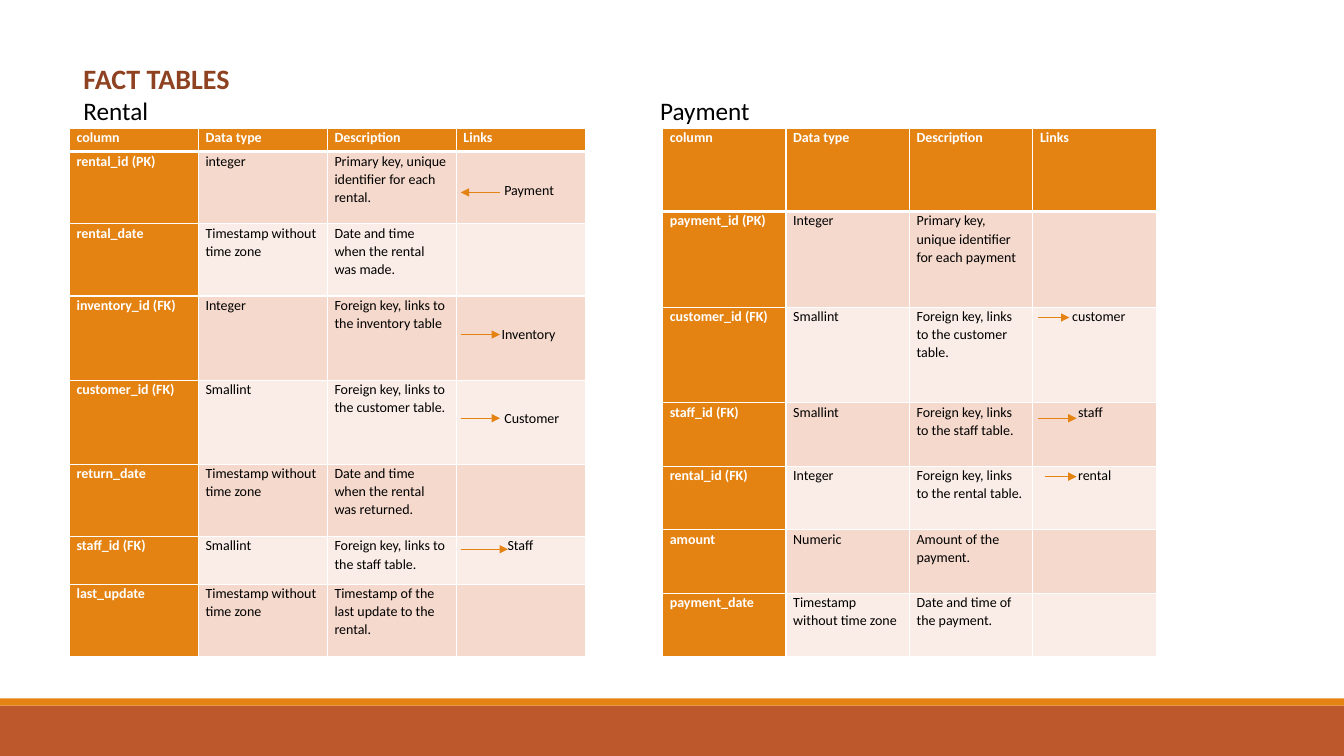
from dataclasses import dataclass
from typing import Any, Optional

from lxml import etree
from pptx import Presentation
from pptx.dml.color import RGBColor
from pptx.enum.shapes import MSO_CONNECTOR, MSO_SHAPE
from pptx.enum.text import MSO_ANCHOR, MSO_AUTO_SIZE, PP_ALIGN
from pptx.oxml.ns import qn
from pptx.util import Cm, Pt

STRAIGHT = MSO_CONNECTOR.STRAIGHT
RECTANGLE = MSO_SHAPE.RECTANGLE
ANCHOR_TOP = MSO_ANCHOR.TOP
NO_AUTOSIZE = MSO_AUTO_SIZE.NONE
LEFT = PP_ALIGN.LEFT
TITLE_ONLY = 5


@dataclass(frozen=True)
class Theme:
    font: str = "Calibri"
    orange: str = "E48312"
    rust: str = "BD582C"
    title: str = "8E4221"
    white: str = "FFFFFF"
    black: str = "000000"
    bands: tuple[str, str] = ("F5D9CC", "FAEDE7")
    title_size: int = 20
    subtitle_size: int = 18
    cell_size: int = 10
    thin: int = 1
    thick: int = 3


@dataclass(frozen=True)
class Link:
    target: str
    indent: float
    start: float
    end: float
    y: float
    drop: float = 0


@dataclass(frozen=True)
class Row:
    height: float
    column: str
    data_type: str
    description: str
    link: Optional[Link] = None


@dataclass(frozen=True)
class FactTable:
    left: float
    column_width: float
    header_height: float
    rows: list[Row]


@dataclass(frozen=True)
class Bar:
    top: float
    height: float
    color: str


THEME = Theme()
SLIDE_WIDTH, SLIDE_HEIGHT = 33.87, 19.05
TABLE_TOP = 3.23
SECOND_LINE = 0.74
HEADERS = ["column", "Data type", "Description", "Links"]
BARS = [Bar(17.78, 1.27, THEME.rust), Bar(17.6, 0.18, THEME.orange)]
TIMESTAMP = "Timestamp without time zone"

RENTAL = FactTable(1.75, 3.25, 0.59, [
    Row(1.82, "rental_id (PK)", "integer", "Primary key, unique identifier for each rental.",
        Link("Payment", 1.03, 12.6, 11.61, 4.85, SECOND_LINE)),
    Row(1.82, "rental_date", TIMESTAMP, "Date and time when the rental was made."),
    Row(2.12, "inventory_id (FK)", "Integer", "Foreign key, links to the inventory table",
        Link("Inventory", 0.96, 11.61, 12.6, 8.43, SECOND_LINE)),
    Row(2.12, "customer_id (FK)", "Smallint", "Foreign key, links to the customer table.",
        Link("Customer", 1.03, 11.61, 12.6, 10.54, SECOND_LINE)),
    Row(1.82, "return_date", TIMESTAMP, "Date and time when the rental was returned."),
    Row(1.2, "staff_id (FK)", "Smallint", "Foreign key, links to the staff table.",
        Link("Staff", 1.11, 11.61, 12.8, 13.84)),
    Row(1.82, "last_update", TIMESTAMP, "Timestamp of the last update to the rental."),
])

PAYMENT = FactTable(16.7, 3.11, 2.1, [
    Row(2.41, "payment_id (PK)", "Integer", "Primary key, unique identifier for each payment"),
    Row(2.41, "customer_id (FK)", "Smallint", "Foreign key, links to the customer table.",
        Link("customer", 0.81, 26.16, 26.95, 8)),
    Row(1.6, "staff_id (FK)", "Smallint", "Foreign key, links to the staff table.",
        Link("staff", 0.96, 26.16, 27.13, 10.54)),
    Row(1.6, "rental_id (FK)", "Integer", "Foreign key, links to the rental table.",
        Link("rental", 0.96, 26.34, 27.13, 12.01)),
    Row(1.6, "amount", "Numeric", "Amount of the payment."),
    Row(1.6, "payment_date", TIMESTAMP, "Date and time of the payment."),
])


def apply_format(target: Any, values: dict[str, Any]) -> None:
    for name, value in values.items():
        setattr(target, name, value)


def add_text(paragraph: Any, text: str, size: int, color: str, bold: bool) -> None:
    run = paragraph.add_run()
    run.text = text
    apply_format(run.font, {"name": THEME.font, "size": Pt(size), "bold": bold})
    run.font.color.rgb = RGBColor.from_string(color)


def add_bar(slide: Any, bar: Bar) -> None:
    shape = slide.shapes.add_shape(RECTANGLE, 0, Cm(bar.top), Cm(SLIDE_WIDTH), Cm(bar.height))
    shape.shadow.inherit = False
    shape.fill.solid()
    shape.fill.fore_color.rgb = RGBColor.from_string(bar.color)
    shape.line.fill.background()


def format_title(slide: Any) -> None:
    title = slide.shapes.title
    apply_format(title, {"left": Cm(1.85), "top": Cm(1.42), "width": Cm(29.67), "height": Cm(1.88)})
    frame = title.text_frame
    apply_format(frame, {"word_wrap": True, "auto_size": NO_AUTOSIZE, "vertical_anchor": ANCHOR_TOP})
    heading, names = frame.paragraphs[0], frame.add_paragraph()
    for paragraph in (heading, names):
        apply_format(paragraph, {"alignment": LEFT, "line_spacing": 1.0})
    tabs = etree.SubElement(names._p.get_or_add_pPr(), qn("a:tabLst"))
    etree.SubElement(tabs, qn("a:tab"), pos=str(Cm(14.53)), algn="l")
    add_text(heading, "FACT TABLES", THEME.title_size, THEME.title, True)
    add_text(names, "Rental\tPayment", THEME.subtitle_size, THEME.black, False)


def add_borders(cell: Any, row_index: int) -> None:
    widths = {"L": THEME.thin, "R": THEME.thin,
              "T": THEME.thick if row_index == 1 else THEME.thin,
              "B": THEME.thick if row_index == 0 else THEME.thin}
    for side, width in widths.items():
        line = etree.SubElement(cell._tc.get_or_add_tcPr(), qn(f"a:ln{side}"), w=str(Pt(width)))
        fill = etree.SubElement(line, qn("a:solidFill"))
        etree.SubElement(fill, qn("a:srgbClr"), val=THEME.white)


def fill_cell(cell: Any, text: str, row_index: int, accent: bool, link: Optional[Link]) -> None:
    add_borders(cell, row_index)
    cell.fill.solid()
    color = THEME.orange if accent else THEME.bands[(row_index - 1) % 2]
    cell.fill.fore_color.rgb = RGBColor.from_string(color)
    apply_format(cell, {"margin_left": Cm(0.18), "margin_right": Cm(0.18),
                        "margin_top": Cm(link.drop if link else 0), "margin_bottom": 0,
                        "vertical_anchor": ANCHOR_TOP})
    if not text:
        return
    paragraph = cell.text_frame.paragraphs[0]
    apply_format(paragraph, {"line_spacing": 1.07, "space_after": Pt(8)})
    if link:
        paragraph._p.get_or_add_pPr().set("marL", str(Cm(link.indent)))
    add_text(paragraph, text, THEME.cell_size, THEME.white if accent else THEME.black, accent)


def add_arrow(slide: Any, link: Link) -> None:
    arrow = slide.shapes.add_connector(STRAIGHT, Cm(link.start), Cm(link.y), Cm(link.end), Cm(link.y))
    arrow.line.color.rgb = RGBColor.from_string(THEME.orange)
    arrow.line.width = Pt(THEME.thin)
    etree.SubElement(arrow.line._get_or_add_ln(), qn("a:tailEnd"), type="triangle")
    etree.SubElement(arrow._element.spPr, qn("a:effectLst"))


def add_fact_table(slide: Any, fact: FactTable) -> None:
    heights = [fact.header_height] + [row.height for row in fact.rows]
    table = slide.shapes.add_table(
        len(heights), len(HEADERS), Cm(fact.left), Cm(TABLE_TOP),
        Cm(fact.column_width * len(HEADERS)), Cm(sum(heights))).table
    for column in table.columns:
        column.width = Cm(fact.column_width)
    for table_row, height in zip(table.rows, heights):
        table_row.height = Cm(height)
    for column_index, header in enumerate(HEADERS):
        fill_cell(table.cell(0, column_index), header, 0, True, None)
    for row_index, row in enumerate(fact.rows, start=1):
        texts = [row.column, row.data_type, row.description, row.link.target if row.link else ""]
        for column_index, text in enumerate(texts):
            link = row.link if column_index == len(HEADERS) - 1 else None
            fill_cell(table.cell(row_index, column_index), text, row_index, column_index == 0, link)
        if row.link:
            add_arrow(slide, row.link)


def main() -> None:
    presentation = Presentation()
    apply_format(presentation, {"slide_width": Cm(SLIDE_WIDTH), "slide_height": Cm(SLIDE_HEIGHT)})
    slide = presentation.slides.add_slide(presentation.slide_layouts[TITLE_ONLY])
    for bar in BARS:
        add_bar(slide, bar)
    format_title(slide)
    for fact in (RENTAL, PAYMENT):
        add_fact_table(slide, fact)
    presentation.save("out.pptx")


if __name__ == "__main__":
    main()
